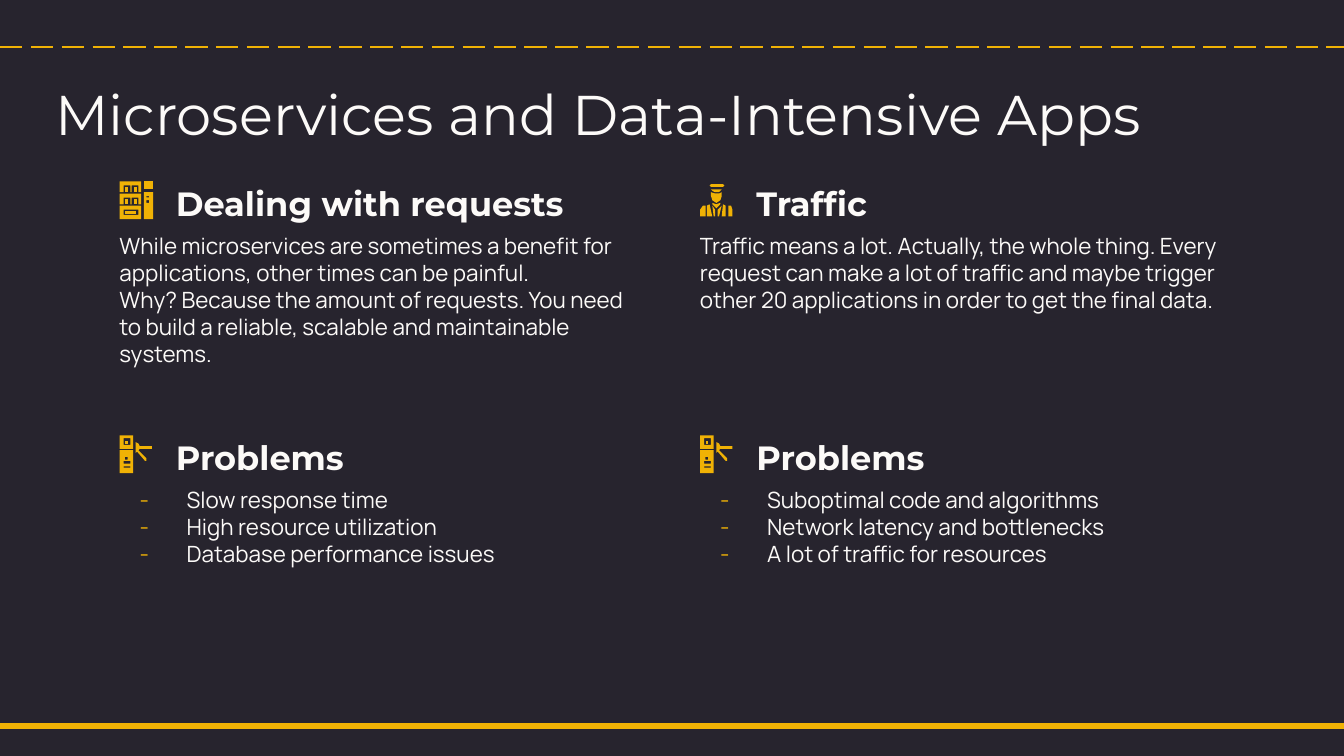
from dataclasses import dataclass

from lxml import etree
from pptx import Presentation
from pptx.dml.color import RGBColor
from pptx.enum.dml import MSO_LINE
from pptx.enum.shapes import MSO_CONNECTOR
from pptx.enum.text import MSO_ANCHOR, MSO_AUTO_SIZE, PP_ALIGN
from pptx.oxml.ns import qn
from pptx.util import Inches, Pt

STRAIGHT = MSO_CONNECTOR.STRAIGHT
LONG_DASH, SOLID = MSO_LINE.LONG_DASH, MSO_LINE.SOLID
TOP, BOTTOM = MSO_ANCHOR.TOP, MSO_ANCHOR.BOTTOM
NO_FIT = MSO_AUTO_SIZE.NONE
LEFT = PP_ALIGN.LEFT

COLORS = {"back": "27242E", "gold": "F0B205", "text": "FCFAF8"}
HEAD_FONT, BODY_FONT = "Montserrat", "Manrope"

Path = list[tuple[int, int]]
Icon = list[list[Path]]  # parts, each with an outline and its holes


@dataclass
class Style:
    font: str
    size: int
    bold: bool = False
    anchor: int = TOP


@dataclass
class Block:
    left: float
    top: float
    head: str
    lines: list[str]
    icon: Icon
    dashed: bool = False


TITLE = Style(HEAD_FONT, 30)
HEAD = Style(HEAD_FONT, 18, True, BOTTOM)
BODY = Style(BODY_FONT, 12)


# Icon outlines, in hundredths of an inch
def box(left: int, top: int, right: int, low: int) -> Path:
    return [(left, top), (right, top), (right, low), (left, low)]


def shelf(top: int) -> Path:
    low, rim = top + 8, top + 3
    return [(0, top), (0, low), (3, low), (3, rim), (8, rim), (8, low),
            (9, low), (9, rim), (14, rim), (14, low), (16, low), (16, top)]


VENDING: Icon = [
    [shelf(0)], [shelf(9)],
    *[[box(x, y, x + 2, y + 4)] for x in (4, 11) for y in (4, 13)],
    [box(18, 0, 25, 6)],
    [box(18, 8, 25, 28), box(20, 11, 22, 12), box(20, 14, 22, 16)],
    [box(0, 18, 16, 28), box(3, 21, 14, 25)],
    [box(4, 22, 12, 24)],
]
GATE: Icon = [
    [box(0, 0, 10, 10), box(3, 2, 8, 7)],
    [box(4, 4, 6, 6)],
    [box(0, 11, 10, 28), box(4, 16, 6, 18), box(3, 19, 8, 21), box(3, 23, 8, 24)],
    [[(12, 5), (12, 13), (13, 12), (19, 19), (20, 19), (20, 17), (14, 11),
      (15, 10), (24, 10), (24, 8), (15, 8), (14, 6)]],
]
GUARD: Icon = [
    # Coat
    [[(9, 18), (10, 26), (11, 26), (11, 21)]],
    [[(16, 18), (13, 21), (13, 26), (14, 26)]],
    [[(7, 17), (5, 18), (5, 26), (9, 26)]],
    [[(17, 17), (16, 26), (19, 26), (19, 18)]],
    [[(4, 18), (2, 18), (0, 21), (0, 26), (4, 26)]],
    [[(21, 18), (21, 26), (24, 26), (24, 21), (23, 18)]],
    [[(9, 16), (9, 17), (12, 20), (15, 17), (15, 16), (12, 17)]],
    # Face and cap
    [[(8, 8), (8, 11), (9, 14), (12, 16), (15, 14), (16, 11), (16, 8),
      (14, 9), (11, 9)]],
    [[(8, 6), (9, 7), (11, 8), (14, 8), (15, 7), (16, 6)]],
    [[(8, 2), (7, 3), (8, 4), (17, 4), (18, 3), (17, 2)]],
]

COLS, ROWS = (0.79, 5.11), (1.23, 3.12)
BLOCKS = [
    Block(COLS[0], ROWS[0], "Dealing with requests", [
        "While microservices are sometimes a benefit for applications, "
        "other times can be painful.",
        "Why? Because the amount of requests. You need to build a reliable, "
        "scalable and maintainable systems."], VENDING),
    Block(COLS[1], ROWS[0], "Traffic", [
        "Traffic means a lot. Actually, the whole thing. Every request can make "
        "a lot of traffic and maybe trigger other 20 applications in order to "
        "get the final data."], GUARD),
    Block(COLS[0], ROWS[1], "Problems", [
        "Slow response time", "High resource utilization",
        "Database performance issues"], GATE, True),
    Block(COLS[1], ROWS[1], "Problems", [
        "Suboptimal code and algorithms", "Network latency and bottlenecks",
        "A lot of traffic for resources"], GATE, True),
]


def color(name: str) -> RGBColor:
    return RGBColor.from_string(COLORS[name])


def add_rule(slide, y: float, width: float, dash) -> None:
    line = slide.shapes.add_connector(
        STRAIGHT, Inches(0), Inches(y), Inches(10), Inches(y))
    line.line.color.rgb = color("gold")
    line.line.width = Pt(width)
    line.line.dash_style = dash
    etree.SubElement(line._element.spPr, qn("a:effectLst"))


def add_dash(par, font: str) -> None:
    props = par._p.get_or_add_pPr()
    props.set("marL", str(Inches(0.5)))
    props.set("indent", str(Inches(-0.35)))
    tint = etree.SubElement(props, qn("a:buClr"))
    etree.SubElement(tint, qn("a:srgbClr")).set("val", COLORS["gold"])
    etree.SubElement(props, qn("a:buFont")).set("typeface", font)
    etree.SubElement(props, qn("a:buChar")).set("char", "-")


def set_text(shape, lines: list[str], style: Style, dashed: bool = False) -> None:
    frame = shape.text_frame
    frame.text = "\n".join(lines)
    frame.word_wrap = True
    frame.auto_size = NO_FIT
    frame.vertical_anchor = style.anchor
    frame.margin_left = frame.margin_right = Inches(0.1)
    frame.margin_top = frame.margin_bottom = Inches(0.1)
    for par in frame.paragraphs:
        par.alignment = LEFT
        if dashed:
            add_dash(par, style.font)
        for run in par.runs:
            run.font.name = style.font
            run.font.size = Pt(style.size)
            run.font.bold = style.bold
            run.font.color.rgb = color("text")


def add_icon(slide, left: float, top: float, icon: Icon) -> None:
    group = slide.shapes.add_group_shape()
    for part in icon:
        pen = group.shapes.build_freeform(*part[0][0], scale=Inches(0.01))
        pen.add_line_segments(part[0][1:])
        for hole in part[1:]:
            pen.move_to(*hole[0])
            pen.add_line_segments(hole[1:])
        shape = pen.convert_to_shape(Inches(left), Inches(top))
        shape.shadow.inherit = False
        shape.fill.solid()
        shape.fill.fore_color.rgb = color("gold")
        shape.line.fill.background()


def add_block(slide, block: Block) -> None:
    head = slide.shapes.add_textbox(
        Inches(block.left + 0.42), Inches(block.top), Inches(3.68), Inches(0.53))
    set_text(head, [block.head], HEAD)
    body = slide.shapes.add_textbox(
        Inches(block.left), Inches(block.top + 0.4), Inches(4.11), Inches(1.28))
    set_text(body, block.lines, BODY, block.dashed)
    add_icon(slide, block.left + 0.1, block.top + 0.12, block.icon)


def main() -> None:
    deck = Presentation()
    deck.slide_width = Inches(10)
    deck.slide_height = deck.slide_width * 9 // 16
    slide = deck.slides.add_slide(deck.slide_layouts[5])
    slide.background.fill.solid()
    slide.background.fill.fore_color.rgb = color("back")

    # Rules across the slide
    add_rule(slide, 0.35, 1.5, LONG_DASH)
    add_rule(slide, 5.4, 3, SOLID)

    # Title
    title = slide.shapes.title
    title.left, title.top = Inches(0.31), Inches(0.49)
    title.width, title.height = Inches(8.9), Inches(0.63)
    set_text(title, ["Microservices and Data-Intensive Apps"], TITLE)

    # Topics
    for block in BLOCKS:
        add_block(slide, block)

    deck.save("out.pptx")


if __name__ == "__main__":
    main()
